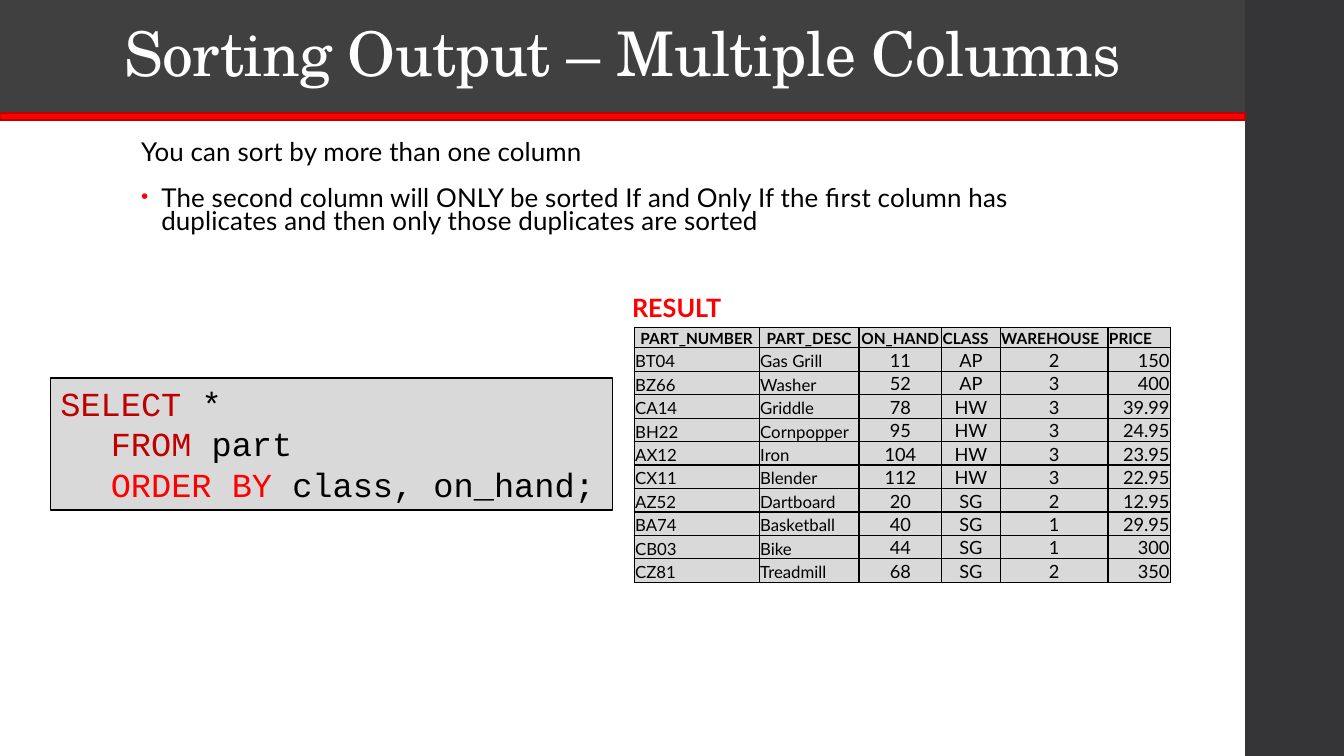
from dataclasses import dataclass, field

from lxml import etree
from pptx import Presentation
from pptx import util as u
from pptx.dml.color import RGBColor
from pptx.enum import shapes, text
from pptx.oxml import ns


@dataclass(frozen=True)
class Theme:
    sidebar: str = "353537"
    banner: str = "404040"
    accent: str = "FF0000"
    accent_edge: str = "BD0000"
    keyword: str = "C00000"
    panel: str = "D9D9D9"
    ink: str = "000000"
    paper: str = "FFFFFF"
    title_font: str = "TeX Gyre Schola"
    body_font: str = "Lato"
    code_font: str = "Courier New"
    title_size: float = 44
    body_size: float = 18.5
    code_size: float = 24
    label_size: float = 18
    header_size: float = 11
    name_size: float = 12
    value_size: float = 13


THEME = Theme()
ALIGN = text.PP_ALIGN


@dataclass(frozen=True)
class Span:
    words: str
    size: float
    font: str = THEME.body_font
    color: str = THEME.ink
    bold: bool = False
    spacing: float = 0


@dataclass(frozen=True)
class Para:
    spans: list[Span]
    format: dict = field(default_factory=dict)
    margin: float = 0
    hanging: float = 0
    bullet: str = ""


@dataclass(frozen=True)
class Block:
    left: float
    top: float
    width: float
    height: float
    fill: str
    line: str = ""
    weight: float = 0


@dataclass(frozen=True)
class Column:
    heading: str
    width: float
    heading_align: ALIGN
    align: ALIGN
    size: float


def place(item, left: float, top: float, width: float, height: float) -> None:
    bounds = {"left": left, "top": top, "width": width, "height": height}
    for name, value in bounds.items():
        setattr(item, name, u.Inches(value))


def paint(item, color: str) -> None:
    item.fill.solid()
    item.fill.fore_color.rgb = RGBColor.from_string(color)


def add_xml(parent, tag: str, **attributes: str):
    return etree.SubElement(parent, ns.qn(tag), attributes)


def write_para(para, content: Para) -> None:
    properties = para._p.get_or_add_pPr()
    properties.set("marL", str(u.Inches(content.margin)))
    properties.set("indent", str(u.Inches(-content.hanging)))
    if content.bullet:
        add_xml(add_xml(properties, "a:buClr"), "a:srgbClr", val=THEME.accent)
        add_xml(properties, "a:buSzPct", val="80000")
        add_xml(properties, "a:buChar", char=content.bullet)
    else:
        add_xml(properties, "a:buNone")
    for name, value in content.format.items():
        setattr(para, name, value)
    for span in content.spans:
        run = para.add_run()
        run.text = span.words
        style = {"name": span.font, "size": u.Pt(span.size), "bold": span.bold}
        for name, value in style.items():
            setattr(run.font, name, value)
        run.font.color.rgb = RGBColor.from_string(span.color)
        if span.spacing:
            run._r.get_or_add_rPr().set("spc", str(round(span.spacing * 100)))


def write_frame(frame, paras: list[Para], **settings) -> None:
    for name, value in {"word_wrap": True, **settings}.items():
        setattr(frame, name, value)
    for index, content in enumerate(paras):
        para = frame.add_paragraph() if index else frame.paragraphs[0]
        write_para(para, content)


def draw_block(page, block: Block):
    shape = page.shapes.add_shape(shapes.MSO_SHAPE.RECTANGLE, 0, 0, 0, 0)
    place(shape, block.left, block.top, block.width, block.height)
    shape.shadow.inherit = False
    paint(shape, block.fill)
    if block.line:
        shape.line.color.rgb = RGBColor.from_string(block.line)
        shape.line.width = u.Pt(block.weight)
    else:
        shape.line.fill.background()
    return shape


def draw_cell(cell, span: Span, align: ALIGN) -> None:
    margins = {"margin_left": 0.01, "margin_right": 0.01, "margin_top": 0.01, "margin_bottom": 0}
    for name, value in margins.items():
        setattr(cell, name, u.Inches(value))
    cell.vertical_anchor = text.MSO_ANCHOR.BOTTOM
    properties = cell._tc.get_or_add_tcPr()
    for side in "LRTB":
        border = add_xml(properties, f"a:ln{side}", w=str(u.Pt(1)))
        add_xml(add_xml(border, "a:solidFill"), "a:srgbClr", val=THEME.ink)
    paint(cell, THEME.panel)
    write_para(cell.text_frame.paragraphs[0], Para([span], {"alignment": align}))


def draw_table(page, columns: list[Column], records: list[list[str]]) -> None:
    header_height, total_height = 0.2, 2.53
    row_height = (total_height - header_height) / len(records)
    width = sum(column.width for column in columns)
    bounds = [u.Inches(value) for value in (6.29, 3.25, width, total_height)]
    table = page.shapes.add_table(len(records) + 1, len(columns), *bounds).table
    table.first_row = table.horz_banding = False
    for index, row in enumerate(table.rows):
        row.height = u.Inches(row_height if index else header_height)
    for number, column in enumerate(columns):
        table.columns[number].width = u.Inches(column.width)
        heading = Span(column.heading, THEME.header_size, bold=True)
        draw_cell(table.cell(0, number), heading, column.heading_align)
        for index, record in enumerate(records, 1):
            draw_cell(table.cell(index, number), Span(record[number], column.size), column.align)


COLUMNS = [
    Column("PART_NUMBER", 1.24, ALIGN.CENTER, ALIGN.LEFT, THEME.name_size),
    Column("PART_DESC", 0.99, ALIGN.CENTER, ALIGN.LEFT, THEME.name_size),
    Column("ON_HAND", 0.82, ALIGN.CENTER, ALIGN.CENTER, THEME.value_size),
    Column("CLASS", 0.58, ALIGN.LEFT, ALIGN.CENTER, THEME.value_size),
    Column("WAREHOUSE", 1.07, ALIGN.LEFT, ALIGN.CENTER, THEME.value_size),
    Column("PRICE", 0.62, ALIGN.LEFT, ALIGN.RIGHT, THEME.value_size),
]
PARTS = [line.split("|") for line in """\
BT04|Gas Grill|11|AP|2|150
BZ66|Washer|52|AP|3|400
CA14|Griddle|78|HW|3|39.99
BH22|Cornpopper|95|HW|3|24.95
AX12|Iron|104|HW|3|23.95
CX11|Blender|112|HW|3|22.95
AZ52|Dartboard|20|SG|2|12.95
BA74|Basketball|40|SG|1|29.95
CB03|Bike|44|SG|1|300
CZ81|Treadmill|68|SG|2|350""".splitlines()]
QUERY = [
    (0, "SELECT", THEME.keyword, " *"),
    (0.5, "FROM", THEME.keyword, " part"),
    (0.5, "ORDER BY ", THEME.accent, "class, on_hand;"),
]


def main() -> None:
    deck = Presentation()
    deck.slide_width, deck.slide_height = u.Inches(13.33), u.Inches(7.5)
    page = deck.slides.add_slide(deck.slide_layouts[1])
    title, body = page.placeholders

    # Sidebar and red rule
    draw_block(page, Block(12.35, 0, 1, 7.5, THEME.sidebar))
    draw_block(page, Block(0, 1.12, 12.35, 0.07, THEME.accent, THEME.accent_edge, 1.1))

    # Title banner
    place(title, 0, 0, 12.35, 1.12)
    paint(title, THEME.banner)
    heading = Span("Sorting Output – Multiple Columns", THEME.title_size, THEME.title_font, THEME.paper, spacing=-0.5)
    write_frame(title.text_frame, [Para([heading], {"alignment": ALIGN.CENTER, "line_spacing": 0.9})],
                vertical_anchor=text.MSO_ANCHOR.MIDDLE, auto_size=text.MSO_AUTO_SIZE.NONE)

    # Explanation
    place(body, 1.3, 1.37, 9.4, 1.36)
    lead = Span("You can sort by more than one column", THEME.body_size, spacing=0.1)
    rule = Span("The second column will ONLY be sorted If and Only If the first column has "
                "duplicates and then only those duplicates are sorted", THEME.body_size, spacing=0.1)
    spacing = {"line_spacing": 0.75, "space_before": u.Pt(0), "space_after": u.Pt(2)}
    write_frame(body.text_frame, [
        Para([lead], spacing),
        Para([rule], {**spacing, "space_before": u.Pt(14)}, margin=0.2, hanging=0.2, bullet="•"),
    ], auto_size=text.MSO_AUTO_SIZE.NONE)

    # Query
    code = draw_block(page, Block(0.5, 3.75, 5.58, 1.31, THEME.panel, THEME.ink, 0.75))
    lines = [Para([Span(keyword, THEME.code_size, THEME.code_font, color),
                   Span(rest, THEME.code_size, THEME.code_font)], {"alignment": ALIGN.LEFT}, margin)
             for margin, keyword, color, rest in QUERY]
    fit = text.MSO_AUTO_SIZE.SHAPE_TO_FIT_TEXT
    write_frame(code.text_frame, lines, vertical_anchor=text.MSO_ANCHOR.TOP, auto_size=fit)

    # Result
    draw_table(page, COLUMNS, PARTS)
    label = page.shapes.add_textbox(0, 0, 0, 0)
    place(label, 6.17, 2.85, 1.29, 0.4)
    result = Span("RESULT", THEME.label_size, color=THEME.accent, bold=True)
    write_frame(label.text_frame, [Para([result])], auto_size=fit)

    deck.save("out.pptx")


if __name__ == "__main__":
    main()
